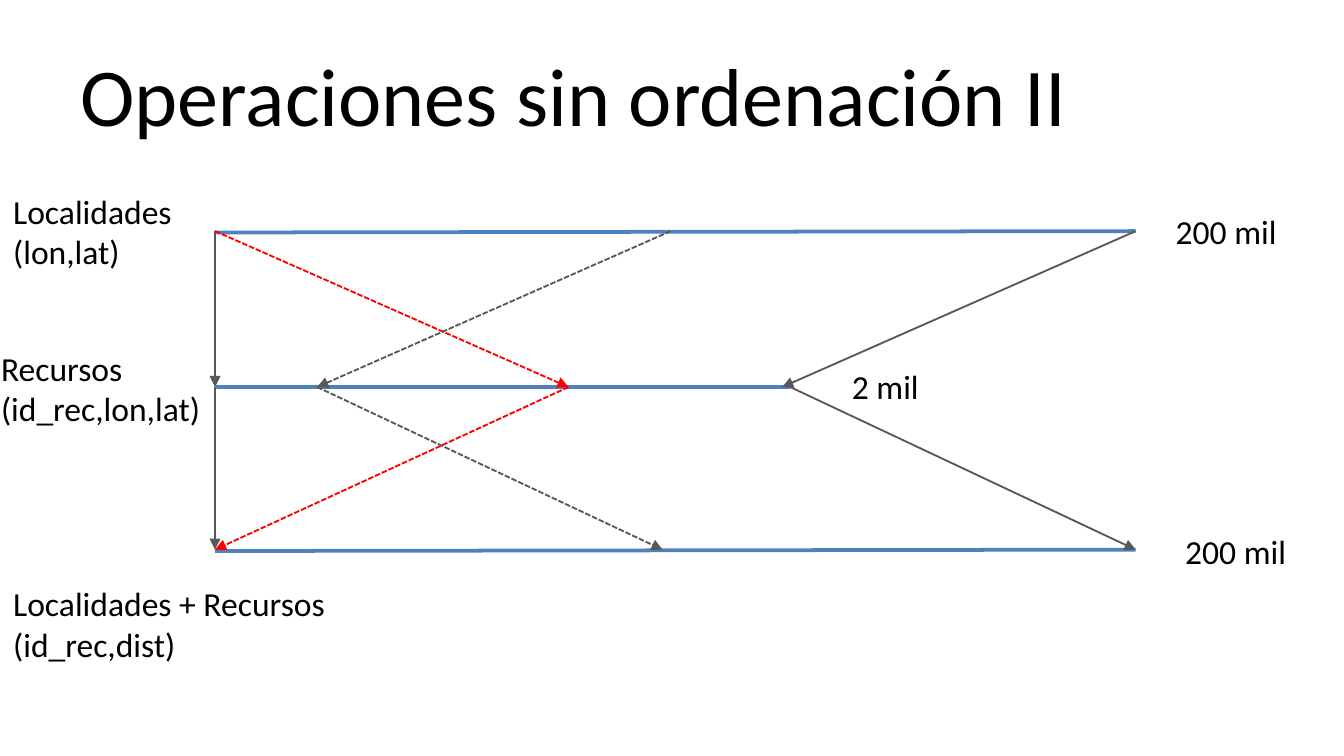
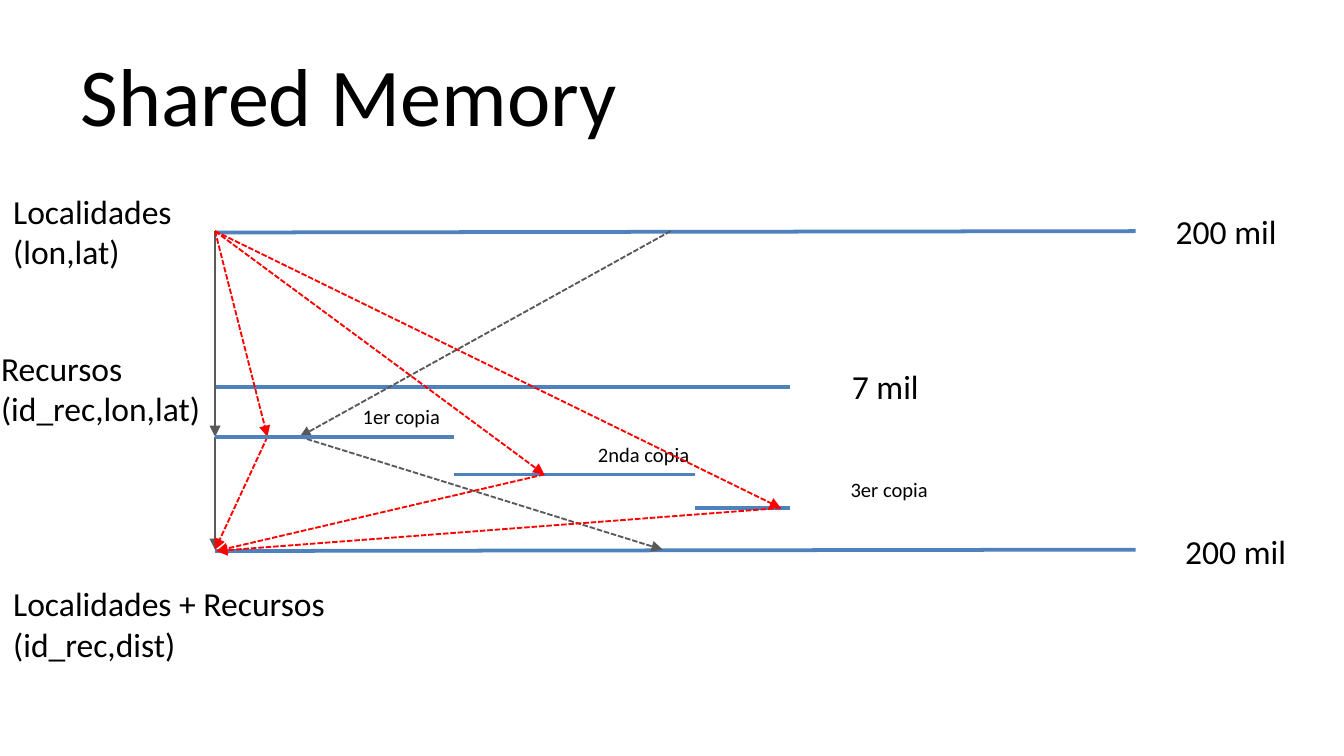
from itertools import pairwise
from lxml.etree import SubElement
from pptx import Presentation
from pptx.dml.color import RGBColor
from pptx.enum.dml import MSO_LINE
from pptx.enum.shapes import MSO_CONNECTOR
from pptx.enum.text import MSO_ANCHOR, MSO_AUTO_SIZE
from pptx.oxml.ns import qn
from pptx.util import Inches, Pt

INK = {"text": "000000", "bar": "4F81BD", "gray": "595959", "red": "FF0000"}
FONT = "Calibri"
CELL = 0.1
LEFT, MID, RIGHT = 16, 58.8, 84.5
TOP, CORE, BASE = 17.2, 28.8, 40.9
COPY = 32.5


def grid(*cells):
    return [Inches(cell * CELL) for cell in cells]


class Deck:
    def __init__(self):
        self.prs = Presentation()
        self.prs.slide_width, self.prs.slide_height = grid(100, 56.25)

    def page(self, title):
        self.slide = self.prs.slides.add_slide(self.prs.slide_layouts[6])
        frame = self.text([title], 5, 2.3, 90, 9.4, 44)
        frame.auto_size = MSO_AUTO_SIZE.NONE
        frame.word_wrap = True
        frame.vertical_anchor = MSO_ANCHOR.MIDDLE

    def text(self, lines, x, y, w, h, size=18):
        frame = self.slide.shapes.add_textbox(*grid(x, y, w, h)).text_frame
        frame.word_wrap = False
        frame.auto_size = MSO_AUTO_SIZE.SHAPE_TO_FIT_TEXT
        for i, line in enumerate(lines):
            para = frame.add_paragraph() if i else frame.paragraphs[0]
            run = para.add_run()
            run.text = line
            run.font.name = FONT
            run.font.size = Pt(size)
            run.font.color.rgb = RGBColor.from_string(INK["text"])
        return frame

    def line(self, start, end, tint, width):
        link = self.slide.shapes.add_connector(
            MSO_CONNECTOR.STRAIGHT, *grid(*start, *end))
        link.line.color.rgb = RGBColor.from_string(INK[tint])
        link.line.width = Pt(width)
        SubElement(link._element.spPr, qn("a:effectLst"))
        return link

    def bar(self, start, end):
        self.line(start, end, "bar", 2)

    def route(self, tint, *stops, dash=True):
        for start, end in pairwise(stops):
            link = self.line(start, end, tint, 1)
            if dash:
                link.line.dash_style = MSO_LINE.SQUARE_DOT
            SubElement(link.line._get_or_add_ln(), qn("a:tailEnd"), type="triangle")

    def frame(self, title, amount, turn):
        self.page(title)
        self.bar((LEFT, TOP + 0.1), (RIGHT, TOP))
        self.bar((LEFT, CORE), (MID, CORE))
        self.bar((LEFT, BASE + 0.1), (RIGHT, BASE))
        self.text(["Localidades", "(lon,lat)"], 0, 13.7, 14, 7.1)
        self.text(["Recursos", "(id_rec,lon,lat)"], -0.9, 25.4, 17, 7.1)
        self.text(["Localidades + Recursos", "(id_rec,dist)"], 0, 42.9, 25.6, 7.1)
        self.route("gray", (LEFT, TOP), (LEFT, turn), (LEFT, BASE), dash=False)
        self.text(["200 mil"], 86.5, 15.2, 9.6, 4)
        self.text([amount], 62.4, 26.7, 7, 4)
        self.text(["200 mil"], 87.2, 39, 9.6, 4)


def plain(deck):
    deck.frame("Operaciones sin ordenación II", "2 mil", CORE)
    deck.route("gray", (RIGHT, TOP), (58.2, CORE), dash=False)
    deck.route("gray", (MID, CORE), (RIGHT, BASE), dash=False)
    deck.route("red", (LEFT, TOP), (42.3, CORE), (LEFT, BASE))
    deck.route("gray", (49.9, TOP), (23.6, CORE), (49.3, BASE))


def shared(deck):
    deck.frame("Shared Memory", "7 mil", COPY)
    deck.route("red", (LEFT, TOP), (19.9, COPY), (LEFT, BASE))
    deck.route("gray", (49.9, TOP), (22.3, COPY), (49.3, BASE))
    edges = pairwise((LEFT, 33.8, 51.7, MID))
    rows = (COPY, 35.3, 37.8)
    for (start, end), row in zip(edges, rows):
        deck.bar((start, row), (end, row))
    deck.text(["1er copia"], 26, 29.6, 7.8, 2.9, 11)
    deck.text(["2nda copia"], 43.5, 32.4, 8.9, 2.9, 11)
    deck.text(["3er copia"], 62.3, 35, 7.8, 2.9, 11)
    for col, row in zip((40.5, 58.1), rows[1:]):
        deck.route("red", (LEFT, TOP), (col, row), (LEFT + 0.1, BASE + 0.1))


def main():
    deck = Deck()
    plain(deck)
    shared(deck)
    deck.prs.save("out.pptx")


if __name__ == "__main__":
    main()
